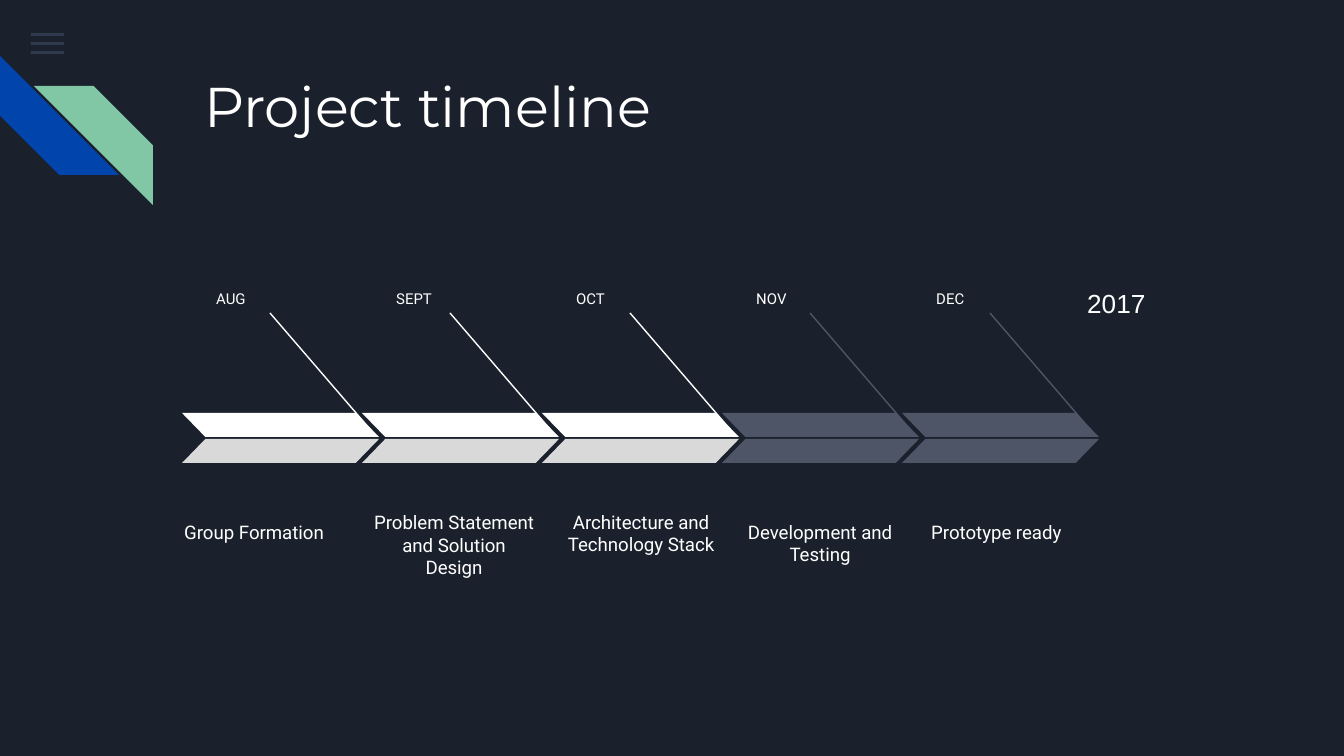
from lxml.etree import SubElement
from pptx import Presentation
from pptx.dml.color import RGBColor
from pptx.enum.shapes import MSO_CONNECTOR, MSO_SHAPE
from pptx.enum.text import MSO_ANCHOR, PP_ALIGN
from pptx.oxml.ns import qn
from pptx.util import Pt

PX = 914400 / 134.4
COLORS = {
    "background": "1B212C", "text": "FFFFFF", "menu": "55688B",
    "blue": "0145AC", "green": "82C7A5",
    "done_top": "FFFFFF", "done_bottom": "D9D9D9", "planned": "4E5567",
}
LEFT, CENTER = PP_ALIGN.LEFT, PP_ALIGN.CENTER
TITLE = "Project timeline"
YEAR = "2017"
# month, finished, caption, caption alignment, caption box (px)
STAGES = [
    ("AUG", True, "Group Formation", LEFT, (171, 480, 192, 75)),
    ("SEPT", True, "Problem Statement and Solution Design", CENTER, (360, 489, 188, 103)),
    ("OCT", True, "Architecture and Technology Stack", CENTER, (547, 466, 188, 103)),
    ("NOV", False, "Development and Testing", CENTER, (724, 504, 192, 75)),
    ("DEC", False, "Prototype ready", LEFT, (918, 480, 188, 75)),
]
FIRST_X, STEP = 182, 180
ARROW_W, HALF_H = 197, 24
TOP_Y, BOTTOM_Y = 413, 439


def px(n):
    return round(n * PX)


def rgb(name):
    return RGBColor.from_string(COLORS[name])


def add_filled(s, kind, box, color, adj=None, flip=False):
    sp = s.shapes.add_shape(kind, *map(px, box))
    sp.shadow.inherit = False
    sp.fill.solid()
    sp.fill.fore_color.rgb = rgb(color)
    sp.line.fill.background()
    if adj is not None:
        sp.adjustments[0] = adj
    if flip:
        sp._element.spPr.find(qn("a:xfrm")).set("flipH", "1")
    return sp


def add_text(s, text, box, size, font, align=LEFT, anchor=MSO_ANCHOR.TOP):
    tf = s.shapes.add_textbox(*map(px, box)).text_frame
    tf.word_wrap = True
    tf.vertical_anchor = anchor
    tf.margin_left = tf.margin_right = tf.margin_top = tf.margin_bottom = Pt(7.2)
    p = tf.paragraphs[0]
    p.text = text
    p.alignment = align
    p.font.size = Pt(size)
    p.font.name = font
    p.font.color.rgb = rgb("text")


def add_line(s, x1, y1, x2, y2, color):
    line = s.shapes.add_connector(MSO_CONNECTOR.STRAIGHT, *map(px, (x1, y1, x2, y2)))
    line.line.color.rgb = rgb(color)
    line.line.width = Pt(0.75)
    SubElement(line._element.spPr, qn("a:effectLst"))


def add_decoration(s):
    for i in range(3):
        bar = add_filled(s, MSO_SHAPE.RECTANGLE, (31, 33 + 9 * i, 33, 3), "menu")
        color = bar._element.spPr.find(".//" + qn("a:srgbClr"))
        SubElement(color, qn("a:alpha")).set("val", "36000")
    stripe = add_filled(s, MSO_SHAPE.DIAGONAL_STRIPE, (0, 56, 119, 119), "blue", 0.5)
    stripe.rotation = 270
    add_filled(s, MSO_SHAPE.DIAGONAL_STRIPE, (34, 86, 119, 119), "green", 0.5, flip=True)


def add_stage(s, x, month, finished, caption, align, caption_box):
    top, bottom = ("done_top", "done_bottom") if finished else ("planned", "planned")
    add_text(s, month, (x + 21, 281, 89, 40), 8, "Roboto")
    add_line(s, x + 88, 313, x + 193, 435, top)
    add_filled(s, MSO_SHAPE.PARALLELOGRAM, (x, TOP_Y, ARROW_W, HALF_H), top, 0.97, flip=True)
    add_filled(s, MSO_SHAPE.PARALLELOGRAM, (x, BOTTOM_Y, ARROW_W, HALF_H), bottom, 0.97)
    add_text(s, caption, caption_box, 10, "Roboto", align, MSO_ANCHOR.BOTTOM)


def main():
    prs = Presentation()
    prs.slide_width, prs.slide_height = px(1344), px(756)
    s = prs.slides.add_slide(prs.slide_layouts[6])
    s.background.fill.solid()
    s.background.fill.fore_color.rgb = rgb("background")

    add_decoration(s)
    add_text(s, TITLE, (191, 58, 1035, 134), 30, "Montserrat")
    for i, stage in enumerate(STAGES):
        add_stage(s, FIRST_X + STEP * i, *stage)
    add_text(s, YEAR, (1074, 274, 130, 63), 14, "Arial")
    prs.save("out.pptx")


if __name__ == "__main__":
    main()
